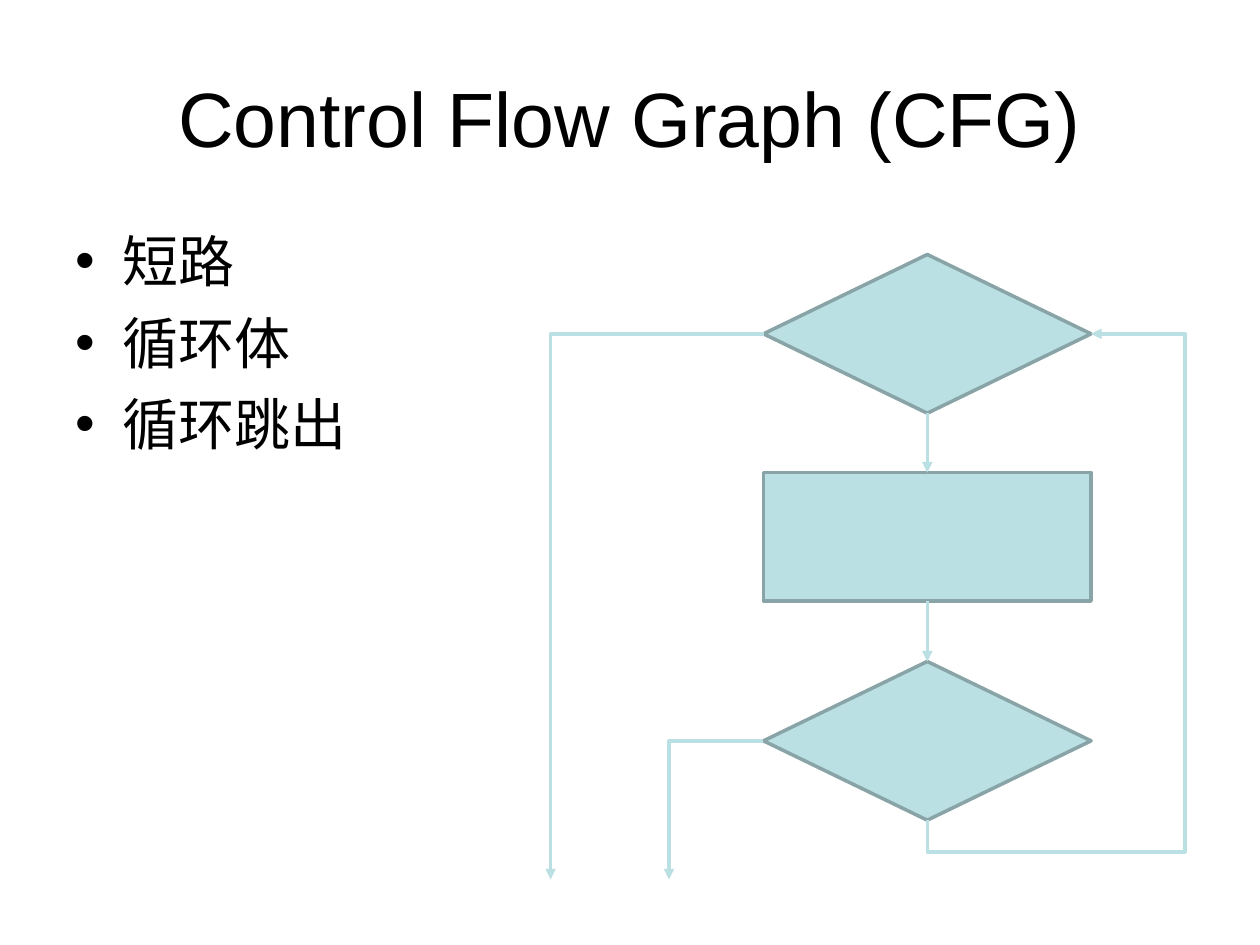
from dataclasses import dataclass

from lxml import etree
from pptx import Presentation
from pptx.dml.color import RGBColor
from pptx.enum import shapes, text
from pptx.oxml import ns
from pptx.util import Pt

PX = 9144
AQUA = RGBColor(0xBB, 0xE0, 0xE3)
SLATE = RGBColor(0x89, 0xA4, 0xA7)
BLACK = RGBColor(0, 0, 0)
FONT = "Arial"
STEP_LEFT, STEP_WIDTH = 606, 260
TOP_SITE, BOTTOM_SITE = 0, 2


@dataclass
class Step:
    kind: shapes.MSO_SHAPE
    top: int
    height: int


@dataclass
class Branch:
    preset: str
    begin: tuple[int, int]
    end: tuple[int, int]
    rotation: int = 0
    bends: tuple[int, ...] = ()


STEPS = [
    Step(shapes.MSO_SHAPE.FLOWCHART_DECISION, 202, 126),
    Step(shapes.MSO_SHAPE.RECTANGLE, 375, 102),
    Step(shapes.MSO_SHAPE.FLOWCHART_DECISION, 525, 126),
]
BRANCHES = [
    Branch("bentConnector4", (994, 523), (608, 393), 90, (-6500, 157300)),
    Branch("bentConnector2", (606, 588), (531, 698)),
    Branch("bentConnector2", (606, 265), (437, 698)),
]


def place(shape, left: int, top: int, width: int, height: int) -> None:
    shape.left, shape.top = left * PX, top * PX
    shape.width, shape.height = width * PX, height * PX


def write(placeholder, lines: list[str], size: int, align, before: int) -> None:
    frame = placeholder.text_frame
    frame.text = "\n".join(lines)
    for paragraph in frame.paragraphs:
        paragraph.alignment = align
        paragraph.space_before = Pt(before)
        paragraph.font.name = FONT
        paragraph.font.size = Pt(size)
        paragraph.font.color.rgb = BLACK


def draw_step(slide, step: Step):
    node = slide.shapes.add_shape(
        step.kind, STEP_LEFT * PX, step.top * PX, STEP_WIDTH * PX, step.height * PX
    )
    node.shadow.inherit = False
    node.fill.solid()
    node.fill.fore_color.rgb = AQUA
    node.line.color.rgb = SLATE
    node.line.width = Pt(2)
    return node


def style_arrow(arrow) -> None:
    arrow.line.color.rgb = AQUA
    arrow.line.width = Pt(2)
    etree.SubElement(arrow.line._get_or_add_ln(), ns.qn("a:tailEnd"), type="triangle")
    etree.SubElement(arrow._element.spPr, ns.qn("a:effectLst"))


def draw_flow(slide, upper, lower) -> None:
    arrow = slide.shapes.add_connector(shapes.MSO_CONNECTOR.STRAIGHT, 0, 0, 0, 0)
    arrow.begin_connect(upper, BOTTOM_SITE)
    arrow.end_connect(lower, TOP_SITE)
    style_arrow(arrow)


def draw_branch(slide, branch: Branch) -> None:
    ends = [value * PX for value in branch.begin + branch.end]
    arrow = slide.shapes.add_connector(shapes.MSO_CONNECTOR.ELBOW, *ends)
    properties = arrow._element.spPr
    if branch.rotation:
        properties.find(ns.qn("a:xfrm")).set("rot", str(branch.rotation * 60000))
    geometry = properties.find(ns.qn("a:prstGeom"))
    geometry.set("prst", branch.preset)
    guides = geometry.find(ns.qn("a:avLst"))
    for number, bend in enumerate(branch.bends, 1):
        etree.SubElement(guides, ns.qn("a:gd"), name=f"adj{number}", fmla=f"val {bend}")
    style_arrow(arrow)


def main() -> None:
    deck = Presentation()
    deck.slide_width, deck.slide_height = 1000 * PX, 750 * PX
    slide = deck.slides.add_slide(deck.slide_layouts[1])
    heading, topics = slide.placeholders

    place(heading, 50, 30, 900, 125)
    write(heading, ["Control Flow Graph (CFG)"], 44, text.PP_ALIGN.CENTER, 0)
    place(topics, 50, 175, 900, 495)
    write(topics, ["短路", "循环体", "循环跳出"], 32, text.PP_ALIGN.LEFT, 8)

    nodes = [draw_step(slide, step) for step in STEPS]
    for upper, lower in zip(nodes, nodes[1:]):
        draw_flow(slide, upper, lower)
    for branch in BRANCHES:
        draw_branch(slide, branch)

    deck.save("out.pptx")


if __name__ == "__main__":
    main()
